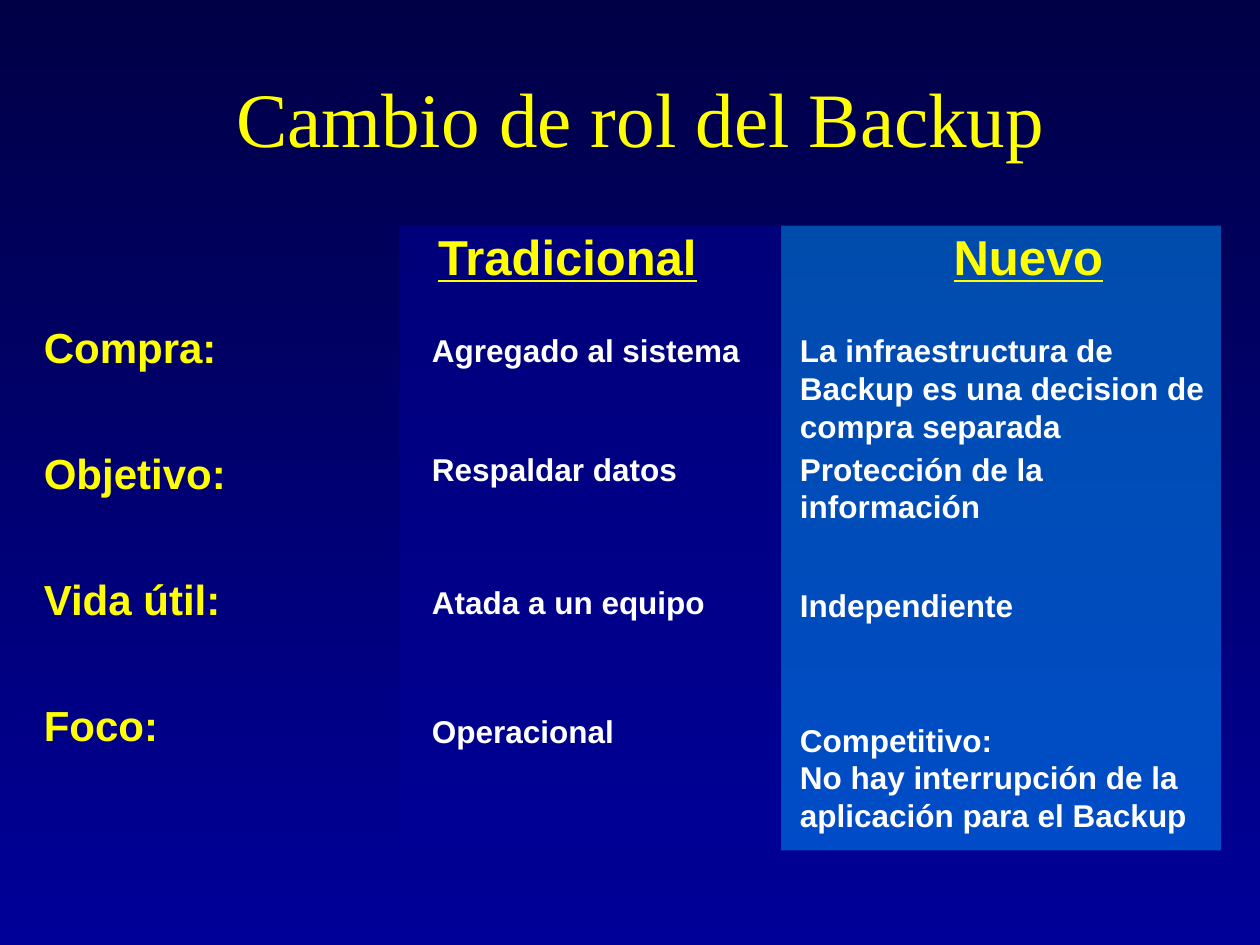
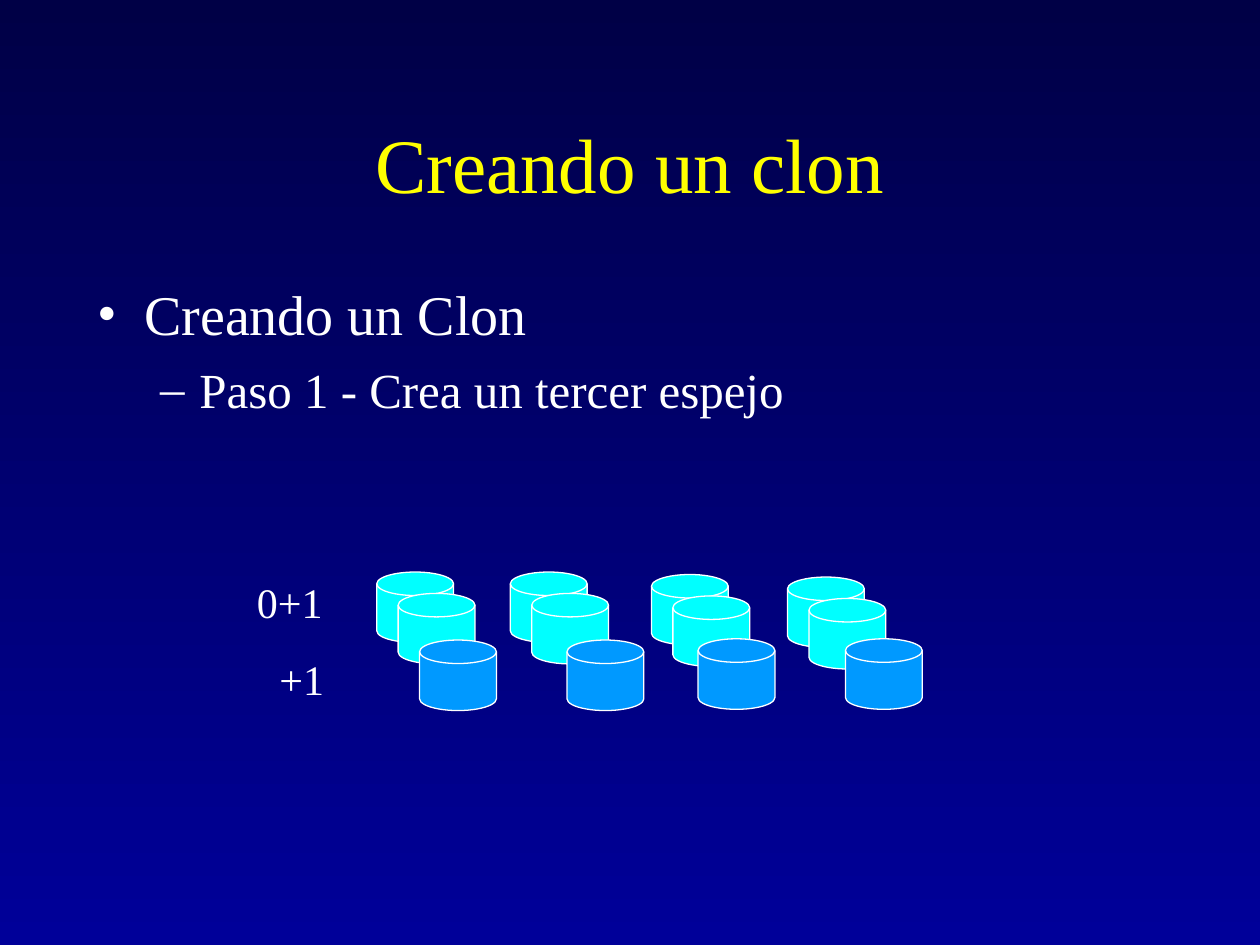
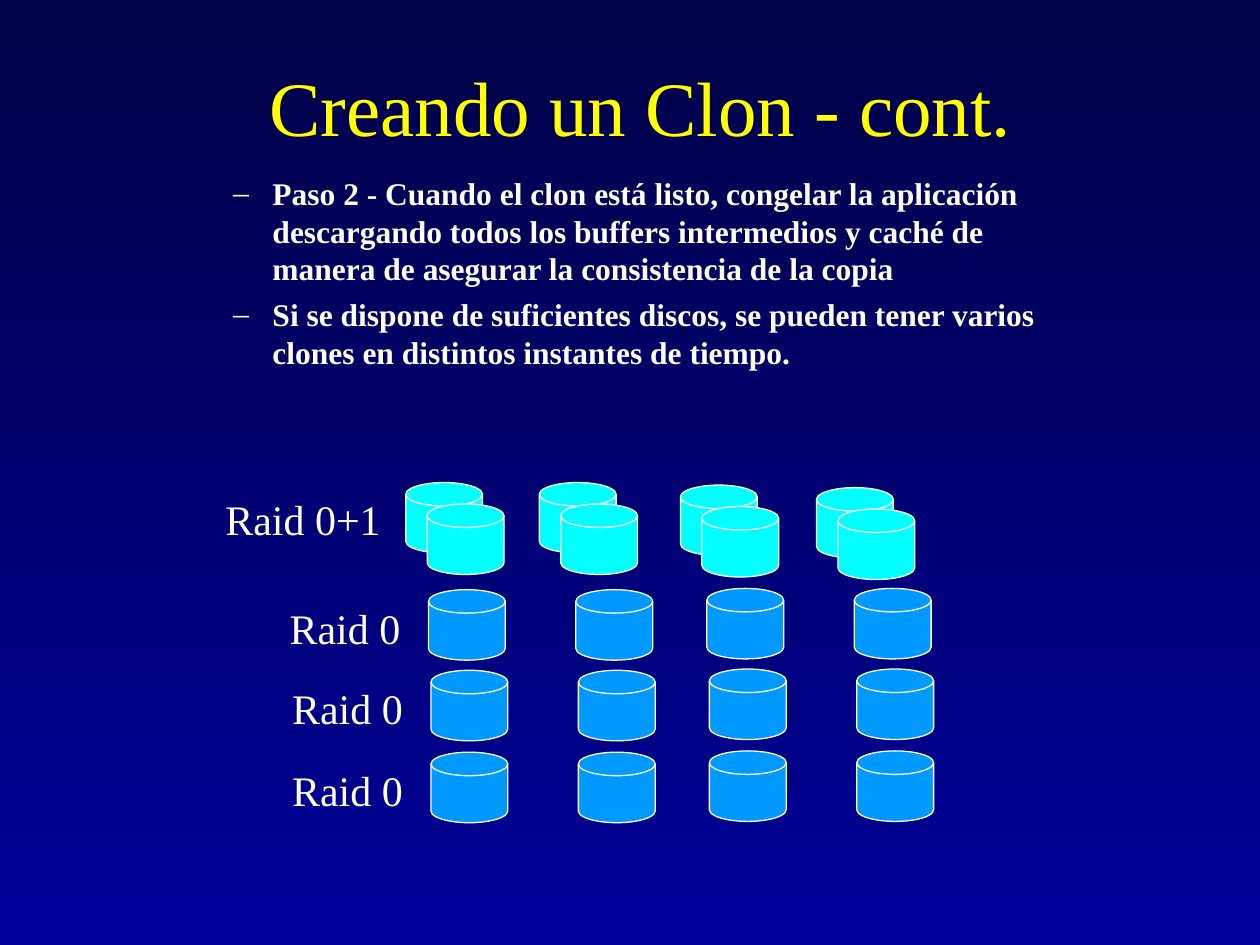
from dataclasses import dataclass

from lxml import etree
from pptx import Presentation
from pptx.dml.color import RGBColor
from pptx.enum.shapes import MSO_SHAPE
from pptx.enum.text import MSO_ANCHOR, MSO_AUTO_SIZE, PP_ALIGN
from pptx.oxml.ns import qn
from pptx.util import Inches, Pt

RECTANGLE = MSO_SHAPE.RECTANGLE
DISK = MSO_SHAPE.FLOWCHART_MAGNETIC_DISK
TOP, MIDDLE, BOTTOM = MSO_ANCHOR.TOP, MSO_ANCHOR.MIDDLE, MSO_ANCHOR.BOTTOM
CENTER = PP_ALIGN.CENTER
NO_AUTOFIT = MSO_AUTO_SIZE.NONE
TITLE_AND_CONTENT, TITLE_ONLY = 1, 5


@dataclass(frozen=True)
class Theme:
    night: str = "000046"
    navy: str = "000099"
    sky: str = "0099FF"
    cyan: str = "00FFFF"
    yellow: str = "FFFF00"
    white: str = "FFFFFF"
    serif: str = "Times New Roman"
    sans: str = "Arial"
    title: float = 44
    list_item: float = 32
    header: float = 28
    label: float = 24
    small: float = 18


THEME = Theme()

# Comparison rows: label, traditional, new, and the tops of both cells
COMPARISON = [
    ("Compra:", ["Agregado al sistema"],
     ["La infraestructura de Backup es una decision de compra separada"], 2.58, 2.58),
    ("Objetivo:", ["Respaldar datos"], ["Protección de la información"], 3.52, 3.52),
    ("Vida útil:", ["Atada a un equipo"], ["Independiente"], 4.58, 4.6),
    ("Foco:", ["Operacional"],
     ["Competitivo:", "No hay interrupción de la aplicación para el Backup"], 5.6, 5.67),
]

# Disk arrays: offsets from the first disk of the row
DISK_WIDTH, DISK_HEIGHT = 0.61, 0.56
MIRROR_OFFSETS = [(0, 0), (1.06, 0), (2.18, 0.02), (3.26, 0.04)]
CLONE_OFFSETS = [(0, 0.01), (1.17, 0.01), (2.21, 0), (3.38, 0)]
MIRROR_SHIFT = 0.17


def color(value):
    return RGBColor.from_string(value)


def add_run(paragraph, text, size, font, text_color, bold=False, underline=False):
    run = paragraph.add_run()
    run.text = text
    run.font.size = Pt(size)
    run.font.name = font
    run.font.color.rgb = color(text_color)
    run.font.bold = bold
    run.font.underline = underline


def place(shape, left, top, width, height):
    shape.left, shape.top = Inches(left), Inches(top)
    shape.width, shape.height = Inches(width), Inches(height)


def set_background(master):
    fill = master.background.fill
    fill.gradient()
    fill.gradient_angle = 270
    for stop, value in zip(fill.gradient_stops, (THEME.night, THEME.navy)):
        stop.color.rgb = color(value)


def add_slide(presentation, layout, title, box, anchor=MIDDLE):
    slide = presentation.slides.add_slide(presentation.slide_layouts[layout])
    shape = slide.shapes.title
    place(shape, *box)
    frame = shape.text_frame
    frame.auto_size = NO_AUTOFIT
    frame.vertical_anchor = anchor
    paragraph = frame.paragraphs[0]
    paragraph.alignment = CENTER
    add_run(paragraph, title, THEME.title, THEME.serif, THEME.yellow)
    return slide


def fill_list(slide, box, items, space_before, bold=False):
    """Fill the body placeholder with (level, text, size) items."""
    body = slide.placeholders[1]
    place(body, *box)
    frame = body.text_frame
    frame.auto_size = NO_AUTOFIT
    frame.vertical_anchor = TOP
    for index, (level, text, size) in enumerate(items):
        paragraph = frame.add_paragraph() if index else frame.paragraphs[0]
        paragraph.level = level
        # Bullet in the font of the text
        properties = paragraph._p.get_or_add_pPr()
        etree.SubElement(properties, qn("a:buFont"), typeface=THEME.serif)
        etree.SubElement(properties, qn("a:buChar"), char="–" if level else "•")
        paragraph.font.name = THEME.serif
        paragraph.space_before = Pt(space_before if index else 0)
        add_run(paragraph, text, size, THEME.serif, THEME.white, bold)


def add_text(slide, box, lines, size, font, text_color, **style):
    frame = slide.shapes.add_textbox(*map(Inches, box)).text_frame
    frame.word_wrap = True
    for index, line in enumerate(lines):
        paragraph = frame.add_paragraph() if index else frame.paragraphs[0]
        add_run(paragraph, line, size, font, text_color, **style)


def add_shape(slide, preset, box, fill_color):
    shape = slide.shapes.add_shape(preset, *map(Inches, box))
    shape.shadow.inherit = False
    shape.fill.solid()
    shape.fill.fore_color.rgb = color(fill_color)
    return shape


def add_column_panel(slide, box, fill_color):
    panel = add_shape(slide, RECTANGLE, box, fill_color)
    panel.line.fill.background()
    fill_value = panel._element.spPr.find(qn("a:solidFill"))[0]
    etree.SubElement(fill_value, qn("a:alpha"), val="50000")


def add_disk(slide, left, top, fill_color):
    disk = add_shape(slide, DISK, (left, top, DISK_WIDTH, DISK_HEIGHT), fill_color)
    disk.line.color.rgb = color(THEME.white)
    disk.line.width = Pt(0.75)


def add_mirror_row(slide, left, top):
    for across, down in MIRROR_OFFSETS:
        for shift in (0, MIRROR_SHIFT):
            add_disk(slide, left + across + shift, top + down + shift, THEME.cyan)


def add_clone_row(slide, left, top):
    for across, down in CLONE_OFFSETS:
        add_disk(slide, left + across, top + down, THEME.sky)


def add_row_label(slide, text, left, top, width):
    add_text(slide, (left, top, width, 0.5), [text], THEME.label, THEME.serif, THEME.white)


def build_comparison(presentation):
    slide = add_slide(presentation, TITLE_ONLY, "Cambio de rol del Backup",
                      (0.85, 0.42, 8.47, 0.92), BOTTOM)
    # Column panels and headers
    add_column_panel(slide, (6.2, 1.79, 3.49, 4.96), THEME.sky)
    add_column_panel(slide, (3.17, 1.79, 3.03, 4.96), THEME.navy)
    for text, left, width in (("Tradicional", 3.38, 2.4), ("Nuevo", 7.47, 1.5)):
        add_text(slide, (left, 1.75, width, 0.57), [text], THEME.header, THEME.sans,
                 THEME.yellow, bold=True, underline=True)
    # Rows
    for index, (label, traditional, new, traditional_top, new_top) in enumerate(COMPARISON):
        add_text(slide, (0.25, 2.5 + index, 1.8, 0.5), [label], THEME.label,
                 THEME.sans, THEME.yellow, bold=True)
        for lines, left, top, width in ((traditional, 3.33, traditional_top, 2.8),
                                        (new, 6.25, new_top, 3.42)):
            add_text(slide, (left, top, width, 0.4), lines, THEME.small, THEME.sans,
                     THEME.white, bold=True)


def build_first_step(presentation):
    slide = add_slide(presentation, TITLE_AND_CONTENT, "Creando un clon",
                      (0.75, 0.67, 8.5, 1.25))
    fill_list(slide, (0.67, 2.17, 8.58, 3.92), [
        (0, "Creando un Clon", THEME.list_item),
        (1, "Paso 1 - Crea un tercer espejo", THEME.header),
    ], space_before=7)
    # Mirrored disks with the third mirror in front
    add_mirror_row(slide, 2.99, 4.54)
    add_row_label(slide, "0+1", 1.94, 4.53, 0.85)
    add_clone_row(slide, 3.33, 5.07)
    add_row_label(slide, "+1", 2.12, 5.14, 0.7)


def build_second_step(presentation):
    slide = add_slide(presentation, TITLE_AND_CONTENT, "Creando un Clon - cont.",
                      (0.92, 0.42, 8.33, 0.83))
    fill_list(slide, (1.25, 1.33, 7.5, 1.92), [
        (1, "Paso 2 - Cuando el clon está listo, congelar la aplicación descargando todos "
            "los buffers intermedios y caché de manera de asegurar la consistencia de la copia",
         THEME.small),
        (1, "Si se dispone de suficientes discos, se pueden tener varios clones en distintos "
            "instantes de tiempo.", THEME.small),
    ], space_before=4.5, bold=True)
    # Mirrored disks and their clones
    add_mirror_row(slide, 3.22, 3.83)
    add_row_label(slide, "Raid 0+1", 1.69, 3.87, 1.53)
    for left, top in ((3.4, 4.67), (3.42, 5.31), (3.42, 5.96)):
        add_clone_row(slide, left, top)
        add_row_label(slide, "Raid 0", left - 1.2, top + 0.06, 1.18)


def main():
    presentation = Presentation()
    presentation.slide_width = Inches(10)
    presentation.slide_height = Inches(7.5)
    set_background(presentation.slide_master)
    build_comparison(presentation)
    build_first_step(presentation)
    build_second_step(presentation)
    presentation.save("out.pptx")


if __name__ == "__main__":
    main()
